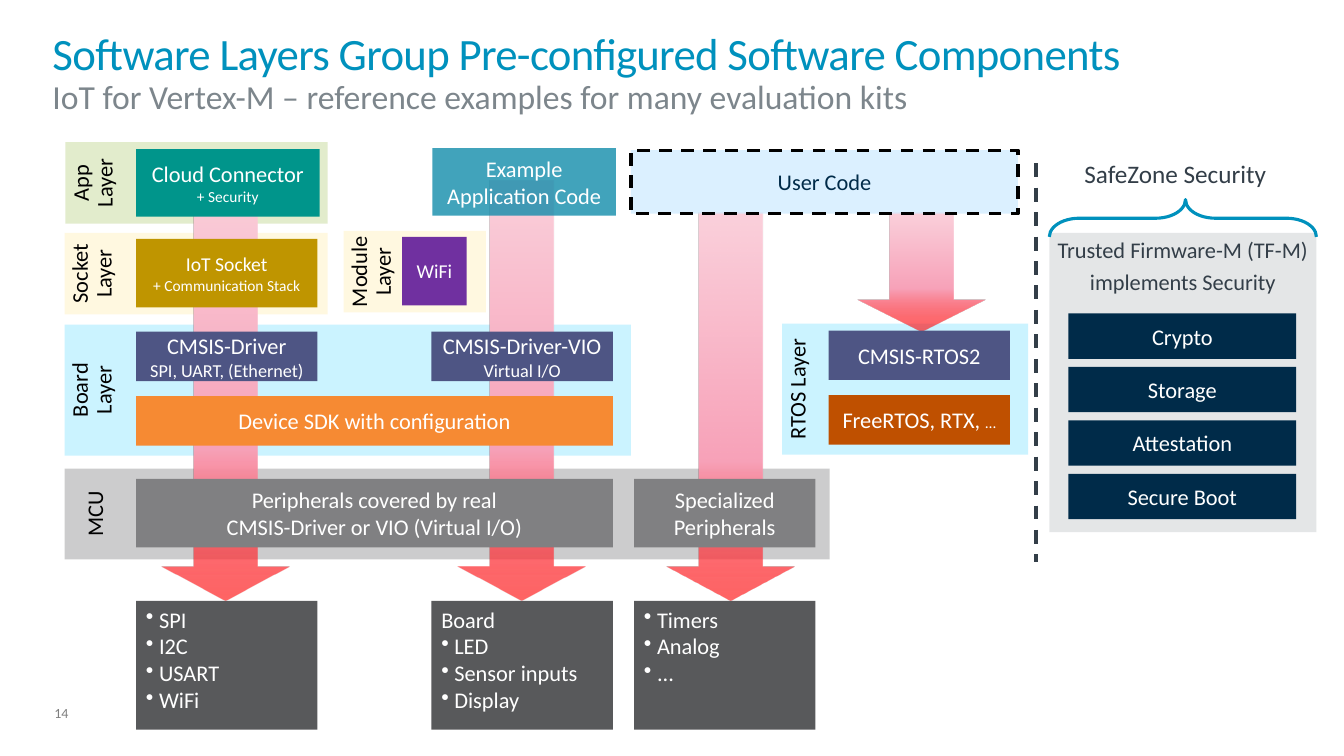
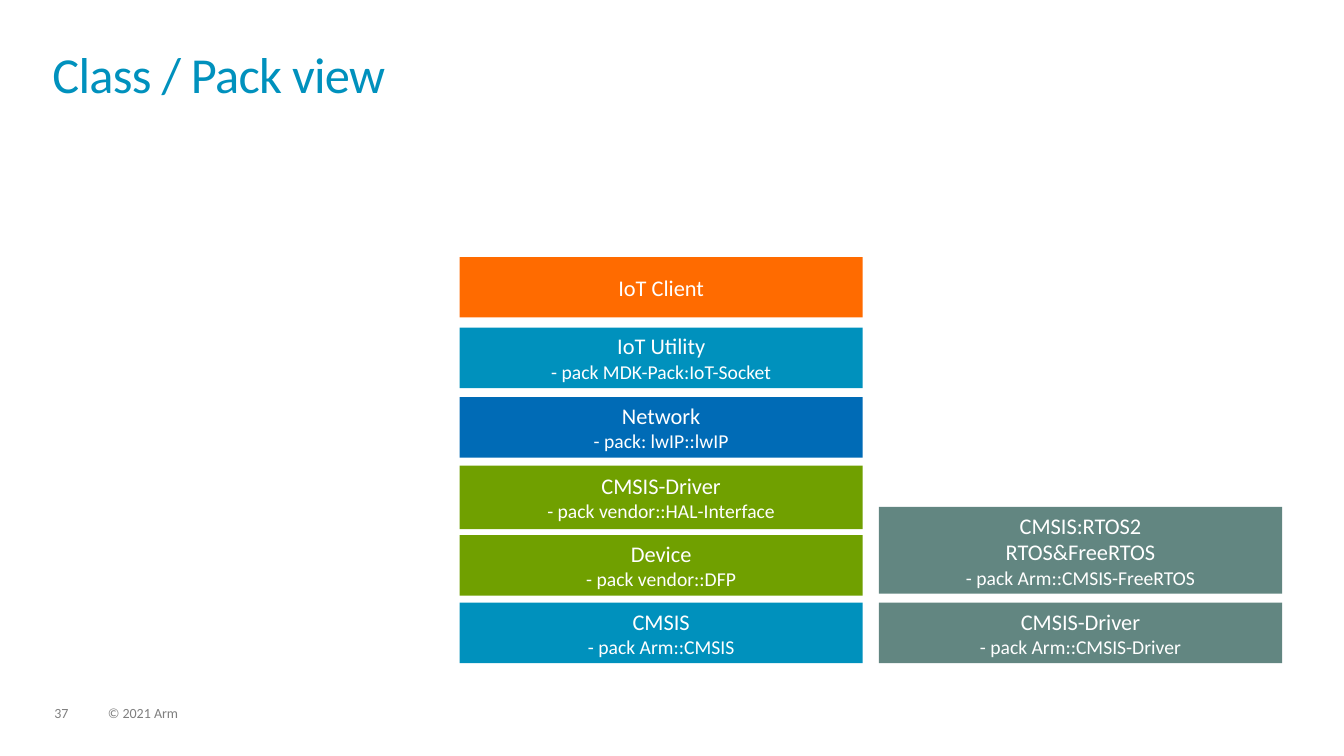
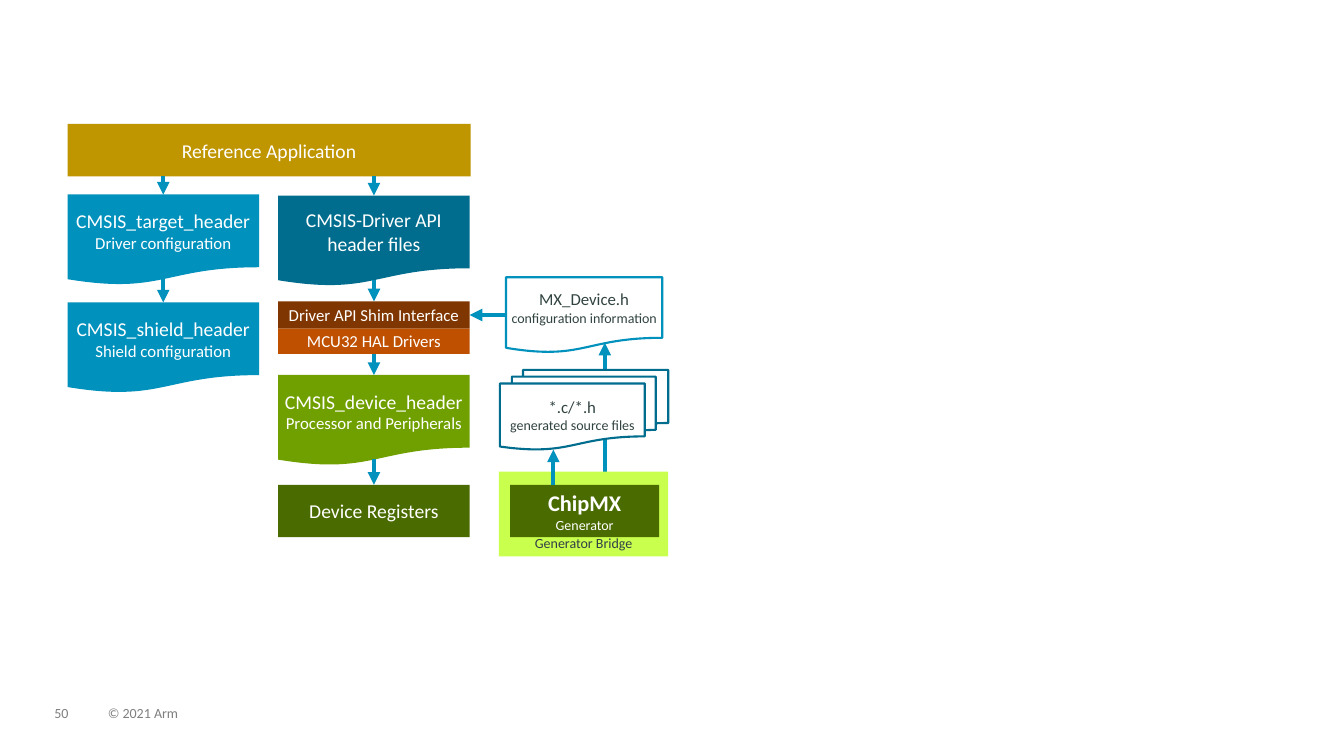
"""Build three slides on software layers, packs and header files."""
from copy import deepcopy

from lxml.etree import SubElement
from pptx import Presentation
from pptx.dml.color import RGBColor
from pptx.enum.dml import MSO_LINE_DASH_STYLE as Dash
from pptx.enum.shapes import MSO_CONNECTOR as Link, MSO_SHAPE as Preset
from pptx.enum.text import MSO_ANCHOR as Anchor, MSO_AUTO_SIZE as Fit, PP_ALIGN as Align
from pptx.oxml.ns import qn
from pptx.util import Emu, Inches, Pt

FONT = "Calibri"
C = {
    "white": "FFFFFF", "black": "000000", "blue": "0091BD", "teal": "006D8E",
    "slate": "333E48", "subtitle": "7D868C", "footer": "7F7F7F", "navy": "002B49",
    "sky": "7FE1FF", "green": "70A000", "yellow": "FFDD66", "grey": "808082",
    "panel": "CBCFD1", "output": "58595B", "indigo": "4E5584", "example": "128CAB",
    "cloud": "00958B", "gold": "BF9500", "amber": "F68A33", "rust": "BF5000",
    "brown": "803600", "purple": "7030A0", "user": "D3EDFF", "pink": "FBD1DC",
    "rose": "F8A2B9", "red": "FF0000", "sage": "628681", "royal": "006BB6",
    "orange": "FF6B00", "forest": "4A6B00", "lime": "C9FF4D", "ink": "314341",
}
COPYRIGHT = "© 2021 Arm"
DEFAULT_INSETS = (0.1, 0.05, 0.1, 0.05)
NARROW = (0.04, 0.05, 0.04, 0.05)
FLUSH = (0, 0.05, 0, 0.05)
BULLET = "• "

COL_W = 1.8
SPI, VIO, SPECIAL, RTOS = 1.35, 4.28, 6.29, 8.22
WIDE = VIO + COL_W - SPI
LAYERS = [
    (["RTOS Layer"], (7.76, 3.21, 2.44, 1.3), "sky", 40),
    (["App", "Layer"], (0.65, 1.41, 2.6, 0.81), "green", 20),
    (["Socket", "Layer"], (0.64, 2.31, 2.61, 0.81), "yellow", 20),
    (["Board", "Layer"], (0.64, 3.22, 5.62, 1.3), "sky", 40),
    (["MCU"], (0.64, 4.65, 7.59, 0.9), "grey", 40),
    (["Module", "Layer"], (3.41, 2.29, 1.41, 0.81), "yellow", 20),
]
FLOWS = [(1.6, 1.78, 5.96), (4.54, 1.79, 5.96), (6.61, 2.11, 5.96), (8.51, 2.11, 3.29)]
COMPONENTS = [
    (["Cloud Connector", ("+ Security", 11)], (SPI, 1.48, 1.82, 0.67), "cloud", {}),
    ([("IoT Socket", 14), ("+ Communication Stack", 11)], (SPI, 2.37, COL_W, 0.68), "gold", {}),
    ([("WiFi", 14)], (3.99, 2.35, 0.64, 0.68), "purple", {}),
    (["Example Application Code"], (4.29, 1.47, 1.82, 0.67), "example", {"alpha": 80}),
    (["User Code"], (6.26, 1.49, 3.84, 0.63), "user",
     {"alpha": 80, "color": "navy", "line": "black", "weight": 2.25, "dash": True}),
    (["CMSIS-Driver", ("SPI, UART, (Ethernet)", 13)], (SPI, 3.29, COL_W, 0.49), "indigo",
     {"insets": NARROW}),
    (["CMSIS-Driver-VIO", ("Virtual I/O", 13)], (VIO, 3.29, COL_W, 0.49), "indigo",
     {"insets": NARROW}),
    (["CMSIS-RTOS2"], (RTOS, 3.28, COL_W, 0.49), "indigo", {}),
    ([["FreeRTOS, RTX, ", ("…", 11)]], (RTOS, 3.92, COL_W, 0.49), "rust", {}),
    (["Device SDK with configuration"], (SPI, 3.93, WIDE, 0.49), "amber", {}),
    (["Peripherals covered by real", "CMSIS-Driver or VIO (Virtual I/O)"],
     (SPI, 4.75, WIDE, 0.68), "grey", {}),
    (["Specialized Peripherals"], (SPECIAL, 4.75, COL_W, 0.68), "grey", {}),
]
OUTPUTS = {
    SPI: ["• SPI", "• I2C", "• USART", "• WiFi"],
    VIO: ["Board", "• LED", "• Sensor inputs", "• Display"],
    SPECIAL: ["• Timers", "• Analog", "• ..."],
}
SECURITY = ["Crypto", "Storage", "Attestation", "Secure Boot"]

PACK_X, VENDOR_X, PACK_W = 4.56, 8.72, 4
PACKS = [
    (["IoT Client"], PACK_X, 2.55, 0.6, "orange"),
    (["IoT Utility", ("- pack MDK-Pack:IoT-Socket", 14)], PACK_X, 3.25, 0.6, "blue"),
    (["Network", ("- pack: lwIP::lwIP", 14)], PACK_X, 3.94, 0.6, "royal"),
    (["CMSIS-Driver", ("- pack vendor::HAL-Interface", 14)], PACK_X, 4.62, 0.63, "green"),
    (["Device", ("- pack vendor::DFP", 14)], PACK_X, 5.31, 0.6, "green"),
    (["CMSIS", ("- pack Arm::CMSIS", 14)], PACK_X, 5.98, 0.6, "blue"),
    (["CMSIS:RTOS2", "RTOS&FreeRTOS", ("- pack Arm::CMSIS-FreeRTOS", 14)],
     VENDOR_X, 5.03, 0.86, "sage"),
    (["CMSIS-Driver", ("- pack Arm::CMSIS-Driver", 14)], VENDOR_X, 5.98, 0.6, "sage"),
]

LEFT_X, MID_X, FILE_W, DOC_H = 0.67, 2.76, 1.9, 0.9
DOC, STACK, RECT = Preset.FLOWCHART_DOCUMENT, Preset.FLOWCHART_MULTIDOCUMENT, Preset.RECTANGLE
FILES = {
    "application": (["Reference Application"], RECT, (LEFT_X, 1.23, 4, 0.52), "gold", {}),
    "target": (["CMSIS_target_header", ("Driver configuration", 12)], DOC,
               (LEFT_X, 1.93, FILE_W, DOC_H), "blue", {"insets": FLUSH}),
    "shield": (["CMSIS_shield_header", ("Shield configuration", 12)], DOC,
               (LEFT_X, 3, FILE_W, DOC_H), "blue", {"insets": FLUSH}),
    "api": (["CMSIS-Driver API", "header files"], DOC,
            (MID_X, 1.94, FILE_W, DOC_H), "teal", {}),
    "shim": ([("Driver API Shim Interface", 12)], RECT, (MID_X, 2.99, FILE_W, 0.27), "brown", {}),
    "hal": ([("MCU32 HAL Drivers", 12)], RECT, (MID_X, 3.26, FILE_W, 0.25), "rust", {}),
    "device": (["CMSIS_device_header", ("Processor and Peripherals", 12)], DOC,
               (MID_X, 3.72, FILE_W, DOC_H), "green", {"insets": FLUSH}),
    "registers": (["Device Registers"], RECT, (MID_X, 4.81, FILE_W, 0.52), "forest", {}),
    "bridge": ([("Generator Bridge", 10)], RECT, (4.95, 4.68, 1.68, 0.84), "lime",
               {"color": "slate", "anchor": Anchor.BOTTOM}),
    "generator": ([("ChipMX", 16, True), ("Generator", 10)], RECT,
                  (5.06, 4.81, 1.48, 0.52), "forest", {}),
    "config": ([("MX_Device.h", 12), ("configuration information", 10)], DOC,
               (5.02, 2.75, 1.55, 0.75), None,
               {"insets": FLUSH, "line": "blue", "color": "ink"}),
    "sources": ([("*.c/*.h", 12), ("generated source files", 10)], STACK,
                (4.96, 3.67, 1.67, 0.79), "white", {"line": "teal", "color": "ink"}),
}
LEFT_MID, MID_MID = LEFT_X + FILE_W / 2, MID_X + FILE_W / 2
WAVE = 0.93 * DOC_H
FILE_ARROWS = [
    ((LEFT_MID, 1.75), ("target", 0)),
    ((MID_MID, 1.75), ("api", 0)),
    ((LEFT_MID, 1.93 + WAVE), ("shield", 0)),
    ((MID_MID, 1.94 + WAVE), ("shim", 0)),
    (("hal", 2), ("device", 0)),
    ((MID_MID, 3.72 + WAVE), ("registers", 0)),
    (("config", 1), ("shim", 3)),
    ((5.49, 4.81), (5.49, 4.46)),
]


def rgb(name):
    """Return the named palette colour."""
    return RGBColor.from_string(C[name])


def set_alpha(color_parent, percent):
    """Make the colour inside an element partly transparent."""
    SubElement(color_parent.find(qn("a:srgbClr")), qn("a:alpha")).set("val", str(percent * 1000))


def put_text(frame, lines, size=16, color="white", align=Align.CENTER, anchor=Anchor.MIDDLE,
             insets=DEFAULT_INSETS, spacing=None, after=None, vertical=False, track=None):
    """Fill a text frame with one paragraph for each line."""
    frame.word_wrap, frame.auto_size, frame.vertical_anchor = True, Fit.NONE, anchor
    (frame.margin_left, frame.margin_top,
     frame.margin_right, frame.margin_bottom) = map(Inches, insets)
    if vertical:
        frame._txBody.bodyPr.set("vert", "vert270")
    for index, line in enumerate(lines):
        paragraph = frame.add_paragraph() if index else frame.paragraphs[0]
        if isinstance(line, str) and line.startswith(BULLET):
            line = line.removeprefix(BULLET)
            props = paragraph._p.get_or_add_pPr()
            props.set("marL", str(Inches(0.13)))
            props.set("indent", str(-Inches(0.13)))
            SubElement(props, qn("a:buChar")).set("char", BULLET.strip())
        paragraph.alignment = align
        if spacing:
            paragraph.line_spacing = spacing
        if after:
            paragraph.space_after = Pt(after)
        for part in line if isinstance(line, list) else [line]:
            words, points, *bold = (part, size) if isinstance(part, str) else part
            run = paragraph.add_run()
            run.text = words
            font = run.font
            font.name, font.size, font.bold = FONT, Pt(points), any(bold)
            font.color.rgb = rgb(color)
            if track:
                run._r.get_or_add_rPr().set("spc", str(track))


def label(slide, lines, box, **fmt):
    """Add a text box without insets."""
    fmt = {"insets": (0, 0, 0, 0), "anchor": Anchor.TOP, "align": Align.LEFT, **fmt}
    put_text(slide.shapes.add_textbox(*map(Inches, box)).text_frame, lines, **fmt)


def block(slide, box, fill=None, lines=(), kind=RECT, alpha=None, line=None, weight=1.5,
          dash=False, **fmt):
    """Add a preset shape with its fill, outline and text."""
    shape = slide.shapes.add_shape(kind, *map(Inches, box))
    shape.shadow.inherit = False
    if fill:
        shape.fill.solid()
        shape.fill.fore_color.rgb = rgb(fill)
        if alpha:
            set_alpha(shape.element.spPr.find(qn("a:solidFill")), alpha)
    else:
        shape.fill.background()
    if line:
        shape.line.color.rgb, shape.line.width = rgb(line), Pt(weight)
        if dash:
            shape.line.dash_style = Dash.DASH
    else:
        shape.line.fill.background()
    if lines:
        put_text(shape.text_frame, lines, **fmt)
    return shape


def flow(slide, left, top, bottom):
    """Add a downward block arrow that fades from pink to red."""
    arrow = block(slide, (left, top, 1.27, bottom - top), kind=Preset.DOWN_ARROW)
    arrow.adjustments[0], arrow.adjustments[1] = 0.5, 0.27
    arrow.fill.gradient()
    arrow.fill.gradient_angle = 270
    stops = arrow.element.spPr.find(qn("a:gradFill")).find(qn("a:gsLst"))
    stops.append(deepcopy(stops[0]))
    fade = [(0, "pink"), (0.64, "rose"), (1, "red")]
    for stop, (position, color) in zip(arrow.fill.gradient_stops, fade):
        stop.position, stop.color.rgb = position, rgb(color)
    set_alpha(stops[-1], 60)


def connect(slide, start, end, shapes=None, color="blue", weight=3, dash=False, head=True):
    """Draw a straight line between points or (shape key, side) pairs."""
    points = [(0, 0) if isinstance(spot[0], str) else spot for spot in (start, end)]
    link = slide.shapes.add_connector(Link.STRAIGHT, *(Inches(v) for p in points for v in p))
    for spot, join in ((start, link.begin_connect), (end, link.end_connect)):
        if isinstance(spot[0], str):
            join(shapes[spot[0]], spot[1])
    link.line.color.rgb, link.line.width = rgb(color), Pt(weight)
    if dash:
        link.line.dash_style = Dash.DASH
    if head:
        SubElement(link.line._get_or_add_ln(), qn("a:tailEnd")).set("type", "triangle")
    SubElement(link._element.spPr, qn("a:effectLst"))


def new_slide(deck, number, title=None, top=0.52, size=36, copyright_line=True):
    """Add a slide with its page number, footer and optional title."""
    slide = deck.slides.add_slide(deck.slide_layouts[5 if title else 6])
    if title:
        heading = slide.shapes.title
        heading.left, heading.top, heading.width, heading.height = map(
            Inches, (0.52, top, 12.28, 0.56))
        put_text(heading.text_frame, [title], size=size, color="blue", align=Align.LEFT,
                 anchor=Anchor.TOP, insets=(0, 0, 0, 0), spacing=0.85, track=-50)
    footer = {"size": 10, "color": "footer", "spacing": 0.9}
    label(slide, [str(number)], (0.54, 7.01, 0.34, 0.15), **footer)
    if copyright_line:
        label(slide, [COPYRIGHT], (1.07, 7.01, 5.07, 0.15), **footer)
    return slide


def layers_slide(deck):
    """Build the stack of software layers."""
    slide = new_slide(deck, 14, "Software Layers Group Pre-configured Software Components",
                      top=0.34, size=32, copyright_line=False)
    label(slide, ["IoT for Vertex-M – reference examples for many evaluation kits"],
          (0.52, 0.75, 12.28, 0.38), size=24, color="subtitle")
    for lines, box, fill, alpha in LAYERS:
        single = lines == ["MCU"]
        block(slide, box, fill, lines, alpha=alpha, color="black", anchor=Anchor.TOP,
              vertical=True, spacing=None if single else Pt(17),
              insets=(0.16 if single else 0.04, 0.02, 0.1, 0.02))
    for left, top, bottom in FLOWS:
        flow(slide, left, top, bottom)
    for lines, box, fill, look in COMPONENTS:
        block(slide, box, fill, lines, **look)
    for left, lines in OUTPUTS.items():
        block(slide, (left, 5.96, COL_W, 1.28), "output", lines,
              align=Align.LEFT, anchor=Anchor.TOP)

    connect(slide, (10.28, 1.62), (10.28, 5.58), color="slate", weight=2.5, dash=True, head=False)
    block(slide, (10.41, 2.31, 2.65, 2.97), "panel", alpha=50)
    caption = {"align": Align.CENTER, "color": "slate", "spacing": 0.9, "after": 6}
    label(slide, ["Trusted Firmware-M (TF-M)", "implements Security"],
          (10.42, 2.37, 2.63, 0.57), **caption)
    label(slide, ["SafeZone Security"], (10.44, 1.6, 2.44, 0.27), size=18, **caption)
    brace = block(slide, (11.55, 0.84, 0.37, 2.65), kind=Preset.RIGHT_BRACE,
                  line="blue", weight=2.25)
    brace.rotation = 270
    brace.adjustments[0], brace.adjustments[1] = 0.8, 0.51
    for row, service in enumerate(SECURITY):
        block(slide, (10.6, 3.11 + 0.53 * row, 2.26, 0.45), "navy", [service])


def packs_slide(deck):
    """Build the view of classes and packs."""
    slide = new_slide(deck, 37, "Class / Pack view")
    for lines, left, top, height, fill in PACKS:
        block(slide, (left, top, PACK_W, height), fill, lines)


def files_slide(deck):
    """Build the diagram of header and generated files."""
    slide = new_slide(deck, 50)
    connect(slide, (6, 4.74), (6, 3.4))
    shapes = {key: block(slide, box, fill, lines, kind, **{"size": 14, **look})
              for key, (lines, kind, box, fill, look) in FILES.items()}
    for start, end in FILE_ARROWS:
        connect(slide, start, end, shapes)


def main():
    """Build and save the deck."""
    deck = Presentation()
    deck.slide_width, deck.slide_height = Emu(12192000), Inches(7.5)
    layers_slide(deck)
    packs_slide(deck)
    files_slide(deck)
    deck.save("out.pptx")


if __name__ == "__main__":
    main()
